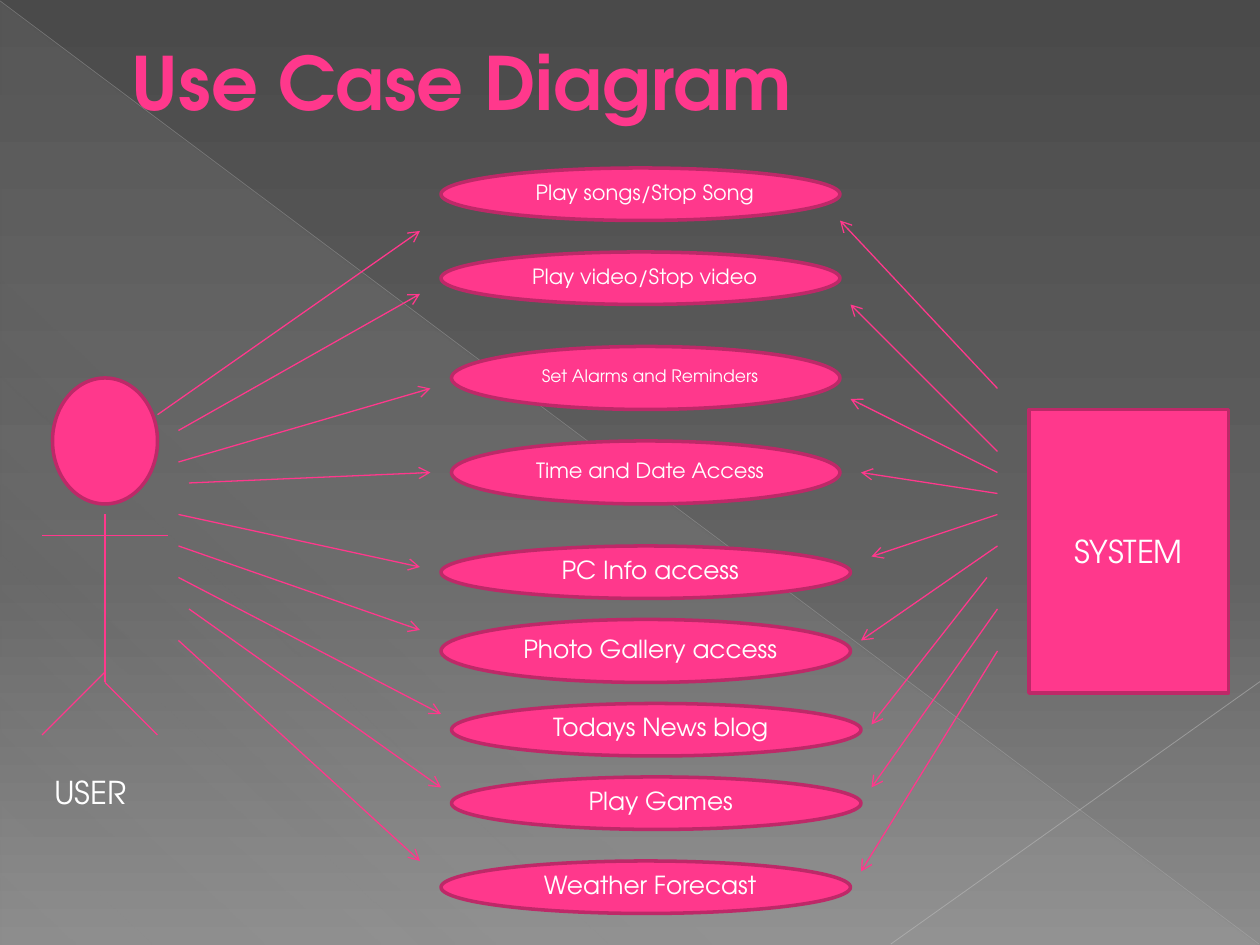
"""Build a use case diagram slide linking a user and a system to nine use cases."""
from typing import NamedTuple, Optional

from lxml import etree
from pptx import Presentation
from pptx.dml.color import RGBColor
from pptx.enum import shapes as kinds
from pptx.enum import text as t
from pptx.oxml import ns
from pptx.util import Pt

FONT = "TeX Gyre Adventor"
COLOURS = {
    "pink": "FF388C",
    "border": "BD2968",
    "title_outline": "B12761",
    "white": "FFFFFF",
    "sheen": "D2D2D2",
    "diagonal": "BFBFBF",
    "corner": "C6C6C6",
    "bg_top": "4A4A4A",
    "bg_middle": "626262",
    "bg_bottom": "8C8C8C",
}


class Box(NamedTuple):
    left: float
    top: float
    width: float
    height: float


class UseCase(NamedTuple):
    label: str
    box: Box
    size: float


class Line(NamedTuple):
    x1: float
    y1: float
    x2: float
    y2: float


class Stop(NamedTuple):
    position: int
    colour: str
    opacity: int = 100


USE_CASES = [
    UseCase("Play songs/Stop Song", Box(252, 96, 228, 30), 12),
    UseCase("Play video/Stop video", Box(252, 144, 228, 30), 12),
    UseCase("Set Alarms and Reminders", Box(258, 198, 222, 36), 9.8),
    UseCase("Time and Date Access", Box(258, 252, 222, 36), 12),
    UseCase("PC Info access", Box(252, 312, 234, 30), 14.2),
    UseCase("Photo Gallery access", Box(252, 354, 234, 36), 14.2),
    UseCase("Todays News blog", Box(258, 402, 234, 30), 14.2),
    UseCase("Play Games", Box(258, 444, 234, 30), 14.2),
    UseCase("Weather Forecast", Box(252, 492, 234, 30), 14.2),
]
USER_LIMBS = [
    Line(60, 294, 60, 390),
    Line(24, 306, 96, 306),
    Line(60, 384, 24, 420),
    Line(60, 390, 90, 420),
]
USER_ARROWS = [
    Line(90, 237, 240, 132),
    Line(102, 246, 240, 168),
    Line(102, 264, 246, 222),
    Line(108, 276, 246, 270),
    Line(102, 294, 240, 324),
    Line(102, 312, 240, 360),
    Line(102, 330, 252, 408),
    Line(108, 348, 252, 450),
    Line(102, 366, 240, 492),
]
SYSTEM_ARROWS = [
    Line(570, 222, 480, 126),
    Line(570, 258, 486, 174),
    Line(570, 270, 486, 228),
    Line(570, 282, 492, 270),
    Line(570, 294, 498, 318),
    Line(570, 312, 492, 366),
    Line(564, 330, 498, 414),
    Line(570, 348, 498, 450),
    Line(570, 372, 492, 498),
]


def rgb(name: str) -> RGBColor:
    return RGBColor.from_string(COLOURS[name])


def add_colour(parent, name: str, opacity: int = 100) -> None:
    colour = etree.SubElement(parent, ns.qn("a:srgbClr"), val=COLOURS[name])
    if opacity < 100:
        etree.SubElement(colour, ns.qn("a:alpha"), val=str(opacity * 1000))


def set_gradient(fill, owner, stops: list[Stop], angle: int) -> None:
    fill.gradient()
    gradient = owner.find(".//" + ns.qn("a:gradFill"))
    stop_list = gradient.find(ns.qn("a:gsLst"))
    for old_stop in list(stop_list):
        stop_list.remove(old_stop)
    for stop in stops:
        entry = etree.SubElement(stop_list, ns.qn("a:gs"), pos=str(stop.position * 1000))
        add_colour(entry, stop.colour, stop.opacity)
    gradient.find(ns.qn("a:lin")).set("ang", str(angle * 60000))


def add_line(slide, line: Line, colour: str = "pink", width: float = 0.75,
             opacity: int = 100, arrow: bool = False) -> None:
    connector = slide.shapes.add_connector(
        kinds.MSO_CONNECTOR.STRAIGHT, *(Pt(value) for value in line))
    connector.line.width = Pt(width)
    connector.line.color.rgb = rgb(colour)
    properties = connector.element.spPr
    if opacity < 100:
        solid = properties.find(".//" + ns.qn("a:solidFill"))
        solid.remove(solid[0])
        add_colour(solid, colour, opacity)
    if arrow:
        etree.SubElement(properties.find(ns.qn("a:ln")), ns.qn("a:tailEnd"), type="arrow")
    etree.SubElement(properties, ns.qn("a:effectLst"))


def set_text(holder, words: str, size: float, colour: str = "white",
             align: t.PP_ALIGN = t.PP_ALIGN.CENTER):
    frame = holder.text_frame
    frame.text = words
    frame.word_wrap = True
    paragraph = frame.paragraphs[0]
    paragraph.alignment = align
    font = paragraph.runs[0].font
    font.name = FONT
    font.size = Pt(size)
    font.color.rgb = rgb(colour)
    return paragraph


def set_indent(paragraph, margin: float, first_line: float) -> None:
    properties = paragraph._p.get_or_add_pPr()
    properties.set("marL", str(Pt(margin)))
    properties.set("indent", str(Pt(first_line)))


def add_node(slide, kind: kinds.MSO_SHAPE, box: Box, label: Optional[str] = None,
             size: float = 18):
    node = slide.shapes.add_shape(kind, *(Pt(value) for value in box))
    node.shadow.inherit = False
    node.fill.solid()
    node.fill.fore_color.rgb = rgb("pink")
    node.line.color.rgb = rgb("border")
    node.line.width = Pt(2)
    frame = node.text_frame
    frame.vertical_anchor = t.MSO_ANCHOR.MIDDLE
    frame.margin_left = frame.margin_right = frame.margin_top = frame.margin_bottom = 0
    return set_text(node, label, size) if label else None


def add_use_case(slide, case: UseCase) -> None:
    paragraph = add_node(slide, kinds.MSO_SHAPE.OVAL, case.box, case.label, case.size)
    paragraph.line_spacing = 0.8
    set_indent(paragraph, 35, -30)


def add_backdrop(slide) -> None:
    set_gradient(slide.background.fill, slide.element,
                 [Stop(0, "bg_top"), Stop(60, "bg_middle"), Stop(100, "bg_bottom")], 90)
    sheen = slide.shapes.add_shape(
        kinds.MSO_SHAPE.RIGHT_TRIANGLE, Pt(0.5), Pt(1), Pt(719), Pt(539))
    sheen.shadow.inherit = False
    sheen.line.fill.background()
    set_gradient(sheen.fill, sheen.element.spPr,
                 [Stop(0, "sheen", 10), Stop(70, "sheen", 8), Stop(100, "sheen", 1)], 133)
    add_line(slide, Line(0, 0.5, 719.5, 539.5), "diagonal", 0.39, 35)
    add_line(slide, Line(720, 389.5, 509, 539.5), "corner", 0.47, 45)


def add_title(slide) -> None:
    title = slide.shapes.title
    title.element.getparent().append(title.element)
    title.left, title.top, title.width, title.height = Pt(30), Pt(12), Pt(648), Pt(69)
    title.text_frame.vertical_anchor = t.MSO_ANCHOR.MIDDLE
    heading = set_text(title, "Use Case Diagram", 42, "pink", t.PP_ALIGN.LEFT)
    set_indent(heading, 38, 0)
    font = heading.runs[0].font
    font.bold = True
    outline = etree.Element(ns.qn("a:ln"), w=str(Pt(0.5)))
    add_colour(etree.SubElement(outline, ns.qn("a:solidFill")), "title_outline")
    font._element.insert(0, outline)


def main() -> None:
    deck = Presentation()
    deck.slide_width, deck.slide_height = Pt(720), Pt(540)
    slide = deck.slides.add_slide(deck.slide_layouts[5])
    add_backdrop(slide)
    add_title(slide)
    add_node(slide, kinds.MSO_SHAPE.OVAL, Box(30, 216, 60, 72))
    for limb in USER_LIMBS:
        add_line(slide, limb)
    user = slide.shapes.add_textbox(Pt(24), Pt(438), Pt(72), Pt(29))
    set_text(user, "USER", 18, align=t.PP_ALIGN.LEFT)
    for case in USE_CASES:
        add_use_case(slide, case)
    add_node(slide, kinds.MSO_SHAPE.RECTANGLE, Box(588, 234, 114, 162), "SYSTEM")
    for arrow in USER_ARROWS + SYSTEM_ARROWS:
        add_line(slide, arrow, arrow=True)
    deck.save("out.pptx")


if __name__ == "__main__":
    main()
